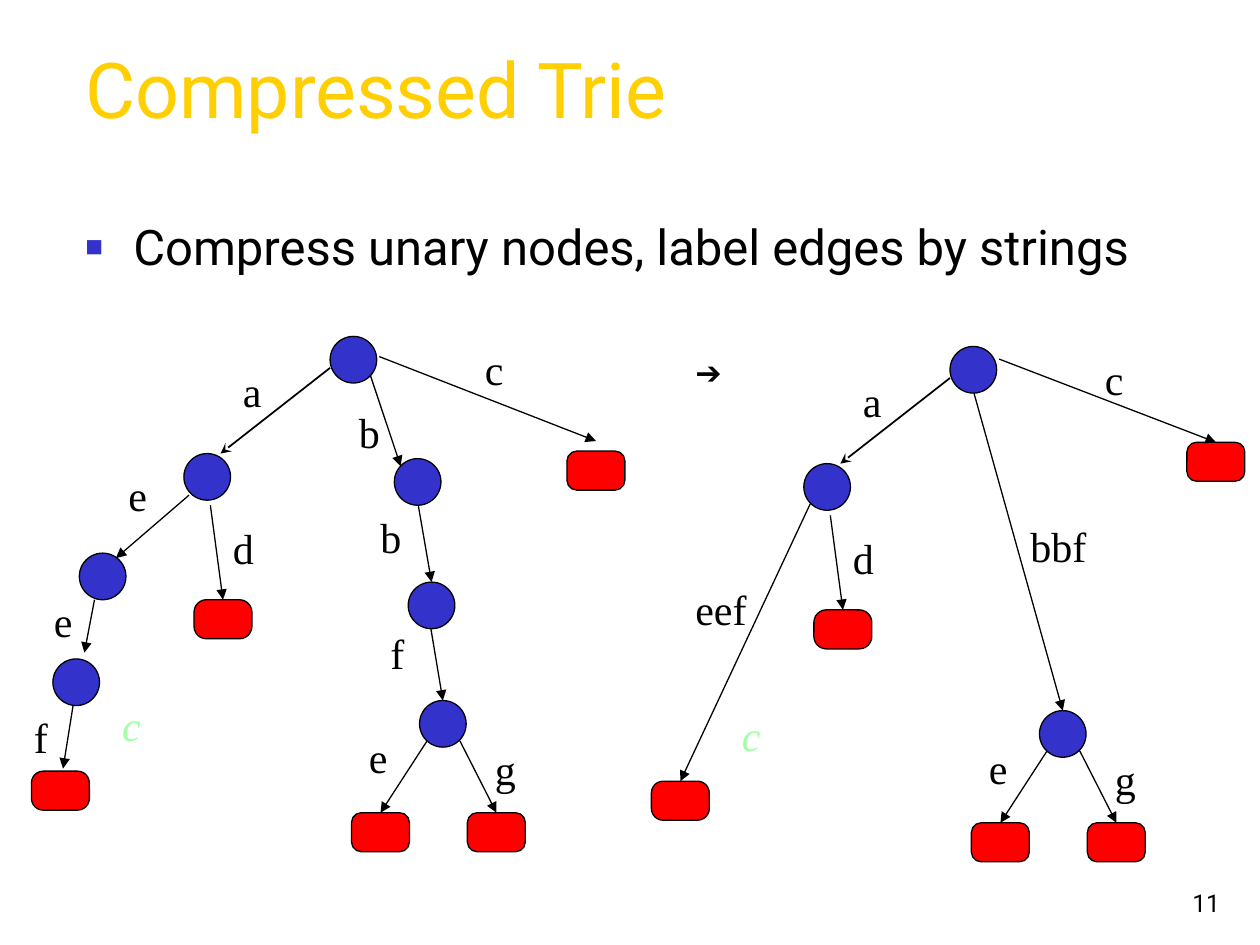
"""Build the slide that sets a trie beside its compressed form."""
import lxml.etree
import pptx
import pptx.dml.color
import pptx.enum.shapes
import pptx.enum.text
import pptx.oxml.ns
import pptx.util

INK = {"title": "FFCF01", "text": "000000", "node": "3333CC", "leaf": "FF0000", "faint": "A3FFA7"}
KIND = pptx.enum.shapes.MSO_SHAPE
ALIGN = pptx.enum.text.PP_ALIGN
ANCHOR = pptx.enum.text.MSO_ANCHOR
FIT = pptx.enum.text.MSO_AUTO_SIZE
NODE, LEAF = (0.37, 0.37), (0.46, 0.31)

STYLES = {
    "title": {"font": {"size": 44, "name": "Roboto"}, "ink": "title",
              "frame": {"vertical_anchor": ANCHOR.MIDDLE}},
    "body": {"font": {"size": 28, "name": "Roboto"}, "para": {"space_before": 7}},
    "label": {"font": {"size": 24, "name": "Times New Roman"}, "para": {"space_before": 15},
              "frame": {"auto_size": FIT.SHAPE_TO_FIT_TEXT}},
    "faint": {"font": {"size": 24, "name": "Times New Roman", "italic": True}, "ink": "faint",
              "para": {"space_before": 15}, "frame": {"auto_size": FIT.SHAPE_TO_FIT_TEXT}},
    "arrow": {"font": {"size": 18, "name": "Arial"}, "para": {"space_before": 11.2},
              "frame": {"auto_size": FIT.SHAPE_TO_FIT_TEXT}},
    "number": {"font": {"size": 14, "name": "Roboto"}, "para": {"alignment": ALIGN.RIGHT},
               "frame": {"vertical_anchor": ANCHOR.BOTTOM}},
}
TEXTS = [
    ("Compressed Trie", 0.58, 0.23, 9.08, 0.93, "title"),
    ("Compress unary nodes, label edges by strings", 0.58, 1.67, 9, 0.76, "body"),
    ("➔", 5.42, 2.75, 1, 0.4, "arrow"),
    ("11", 7.7, 6.83, 2.08, 0.5, "number"),
]

SHARED = {
    "nodes": {"root": (2.62, 2.67), "a": (1.46, 3.6), "bbf": (3.33, 5.56)},
    "leaves": {"aeef": (0.25, 6.12, 0.3), "ad": (1.54, 4.76, 0.32),
               "bbfe": (2.79, 6.45, 0.25), "bbfg": (3.71, 6.45, 0.25)},
    "edges": [((2.62, 2.92), (1.75, 3.6), "stealth"), ((1.67, 4.01), "ad"),
              ((3.39, 5.88), "bbfe"), ((3.65, 5.88), "bbfg")],
    "labels": [("a", 1.83, 2.85, 0.75), ("c", 0.87, 5.5, 0.58, "faint"), ("c", 3.75, 2.68, 0.5),
               ("d", 1.75, 4.1, 0.75), ("e", 2.83, 5.76, 0.42), ("g", 3.83, 5.85, 0.42)],
}
PLAIN = {
    "nodes": {"b": (3.13, 3.64), "bb": (3.24, 4.62), "ae": (0.63, 4.39), "aee": (0.42, 5.23)},
    "leaves": {"c": (4.5, 3.58, 0.25)},
    "edges": [((3.01, 2.83), (4.73, 3.5)), ((2.94, 2.98), (3.18, 3.7)), ((3.32, 4.01), "bb"),
              ((3.42, 4.99), "bbf"), ((1.5, 3.93), (0.92, 4.43)),
              ((0.75, 4.76), (0.67, 5.18)), ((0.58, 5.6), (0.5, 6.1))],
    "labels": [("b", 2.75, 3.18, 0.42), ("b", 2.92, 4.01, 0.42), ("f", 3, 4.93, 0.42),
               ("e", 0.92, 3.68, 0.75), ("e", 0.33, 4.68, 0.75), ("f", 0.17, 5.6, 0.75)],
}
TIGHT = {
    "nodes": {},
    "leaves": {"c": (4.5, 3.43, 0.25)},
    "edges": [((3.01, 2.77), "c"), ((2.81, 3.04), "bbf"), ((1.51, 3.92), "aeef")],
    "labels": [("bbf", 3.16, 4, 0.83), ("eef", 0.5, 4.5, 0.75)],
}
TREES = [(PLAIN, 0, 0), (TIGHT, 4.92, 0.08)]


def inch(*sizes):
    return [pptx.util.Inches(size) for size in sizes]


def color(key):
    return pptx.dml.color.RGBColor.from_string(INK[key])


def assign(target, values):
    for key, value in values.items():
        if key in ("size", "space_before"):
            value = pptx.util.Pt(value)
        setattr(target, key, value)


def add_tag(parent, tag, **values):
    return lxml.etree.SubElement(parent, pptx.oxml.ns.qn(tag), **values)


def add_text(slide, words, left, top, width, height, style):
    look = STYLES[style]
    frame = slide.shapes.add_textbox(*inch(left, top, width, height)).text_frame
    assign(frame, {"word_wrap": True, **look.get("frame", {})})
    para = frame.paragraphs[0]
    assign(para, look.get("para", {}))
    run = para.add_run()
    run.text = words
    assign(run.font, look["font"])
    run.font.color.rgb = color(look.get("ink", "text"))
    return para


def add_bullet(para):
    props = para._p.get_or_add_pPr()
    indent = pptx.util.Inches(0.38)
    props.set("marL", str(indent))
    props.set("indent", str(-indent))
    add_tag(add_tag(props, "a:buClr"), "a:srgbClr", val=INK["node"])
    add_tag(props, "a:buSzPct", val="60000")
    add_tag(props, "a:buFont", typeface="Arial")
    add_tag(props, "a:buChar", char="■")


def add_box(slide, kind, left, top, size, ink):
    shape = slide.shapes.add_shape(kind, *inch(left, top, *size))
    shape.shadow.inherit = False
    shape.fill.solid()
    shape.fill.fore_color.rgb = color(ink)
    shape.line.color.rgb = color("text")
    shape.line.width = pptx.util.Pt(0.75)
    return shape


def add_edge(slide, start, end, head, goal):
    link = slide.shapes.add_connector(
        pptx.enum.shapes.MSO_CONNECTOR.STRAIGHT, *inch(*start, *end))
    if goal is not None:
        link.end_connect(goal, 0)
    link.line.color.rgb = color("text")
    link.line.width = pptx.util.Pt(1 if head == "stealth" else 0.75)
    add_tag(link.line._get_or_add_ln(), "a:tailEnd", type=head)
    add_tag(link._element.spPr, "a:effectLst")


def add_tree(slide, own, right, down):
    boxes = {}
    for part in (SHARED, own):
        for name, (left, top) in part["nodes"].items():
            boxes[name] = add_box(slide, KIND.OVAL, left + right, top + down, NODE, "node")
        for name, (left, top, curve) in part["leaves"].items():
            boxes[name] = add_box(slide, KIND.ROUNDED_RECTANGLE, left + right, top + down,
                                  LEAF, "leaf")
            boxes[name].adjustments[0] = curve
    for part in (SHARED, own):
        for (left, top), end, *head in part["edges"]:
            goal = boxes.get(end)
            start = (left + right, top + down)
            stop = start if goal is not None else (end[0] + right, end[1] + down)
            add_edge(slide, start, stop, head[0] if head else "triangle", goal)
        for words, left, top, width, *style in part["labels"]:
            add_text(slide, words, left + right, top + down, width, 0.5,
                     style[0] if style else "label")


def main():
    deck = pptx.Presentation()
    deck.slide_width, deck.slide_height = inch(10, 7.5)
    slide = deck.slides.add_slide(deck.slide_layouts[6])
    for text in TEXTS:
        para = add_text(slide, *text)
        if text[-1] == "body":
            add_bullet(para)
    for tree in TREES:
        add_tree(slide, *tree)
    deck.save("out.pptx")


if __name__ == "__main__":
    main()
